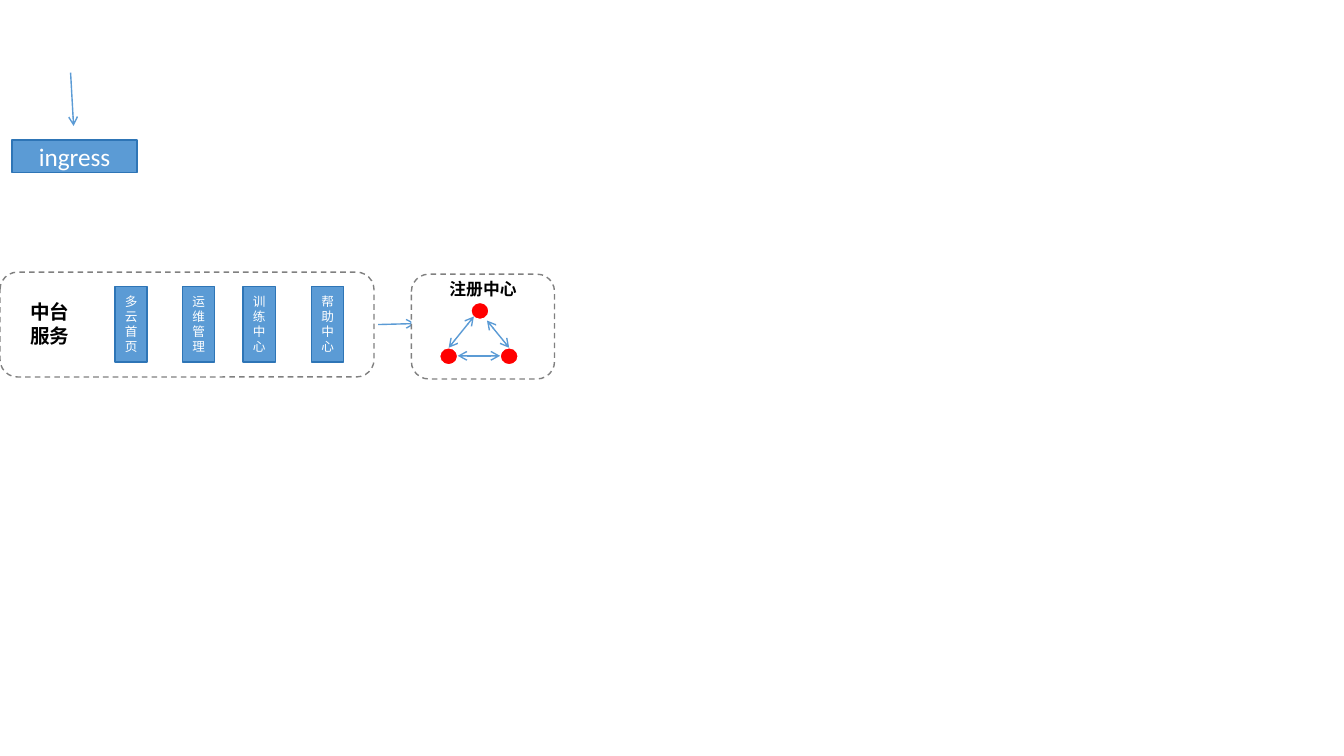
from pptx import Presentation
from pptx.dml.color import RGBColor
from pptx.enum.dml import MSO_LINE
from pptx.enum.shapes import MSO_CONNECTOR, MSO_SHAPE
from pptx.enum.text import MSO_ANCHOR, PP_ALIGN
from pptx.oxml.ns import qn
from pptx.util import Pt
from lxml.etree import SubElement

PX = 9144  # 100 px to the inch
COLORS = {"blue": "5B9BD5", "edge": "2E75B6", "gray": "808080",
          "red": "FF0000", "white": "FFFFFF", "black": "000000"}
RGB = {name: RGBColor.from_string(code) for name, code in COLORS.items()}

prs = Presentation()
prs.slide_width, prs.slide_height = 1333 * PX, 750 * PX
s = prs.slides.add_slide(prs.slide_layouts[6])


def add_box(kind, box, fill=None, line=None, text="", size=9, color="white", bold=False):
    """Add a preset shape, or a text box when kind is None."""
    box = [v * PX for v in box]
    if kind is None:
        sp = s.shapes.add_textbox(*box)
    else:
        sp = s.shapes.add_shape(kind, *box)
        sp.shadow.inherit = False
        sp.fill.solid()
        sp.fill.fore_color.rgb = RGB[fill]
        sp.line.color.rgb = RGB[line]
        sp.line.width = Pt(1)
    tf = sp.text_frame
    tf.word_wrap = True
    tf.vertical_anchor = MSO_ANCHOR.TOP if kind is None else MSO_ANCHOR.MIDDLE
    if text:
        tf.text = text
    for p in tf.paragraphs:
        p.alignment = PP_ALIGN.LEFT if kind is None else PP_ALIGN.CENTER
        for r in p.runs:
            r.font.color.rgb = RGB[color]
            for key, value in {"name": "Calibri", "size": Pt(size), "bold": bold}.items():
                setattr(r.font, key, value)
    return sp


def add_arrow(ends, heads=("tailEnd",)):
    """Add a blue line with open arrowheads."""
    c = s.shapes.add_connector(MSO_CONNECTOR.STRAIGHT, *[v * PX for v in ends])
    c.line.color.rgb = RGB["blue"]
    c.line.width = Pt(1)
    ln = c.line._get_or_add_ln()
    for head in heads:
        SubElement(ln, qn(f"a:{head}"), type="arrow")
    SubElement(c._element.spPr, qn("a:effectLst"))


# Ingress and incoming traffic
add_box(MSO_SHAPE.RECTANGLE, (12, 139, 124, 32), "blue", "edge", "ingress", 18)
add_arrow((70, 72, 73, 125))

# Platform services group
group = add_box(MSO_SHAPE.ROUNDED_RECTANGLE, (0, 270, 371, 104), "white", "gray")
group.line.dash_style = MSO_LINE.DASH
add_box(None, (20, 293, 76, 57), text="中台服务", size=14, color="black", bold=True)
services = [(114, "多云首页"), (181, "运维管理"), (241, "训练\n中心"), (309, "帮助\n中心")]
for x, name in services:
    add_box(MSO_SHAPE.RECTANGLE, (x, 284, 32, 75), "blue", "edge", name)
add_arrow((375, 322, 412, 321))

# Registry group
group = add_box(MSO_SHAPE.ROUNDED_RECTANGLE, (408, 272, 142, 104), "white", "gray")
group.line.dash_style = MSO_LINE.DASH
add_box(None, (436, 272, 104, 30), text="注册中心", size=12, color="black", bold=True)

# Registry nodes, linked both ways
for x, y in [(467, 300), (436, 345), (496, 345)]:
    add_box(MSO_SHAPE.OVAL, (x, y, 18, 17), "red", "white")
for ends in [(470, 314, 445, 345), (496, 353, 454, 353), (483, 318, 505, 345)]:
    add_arrow(ends, ("headEnd", "tailEnd"))

prs.save("out.pptx")
